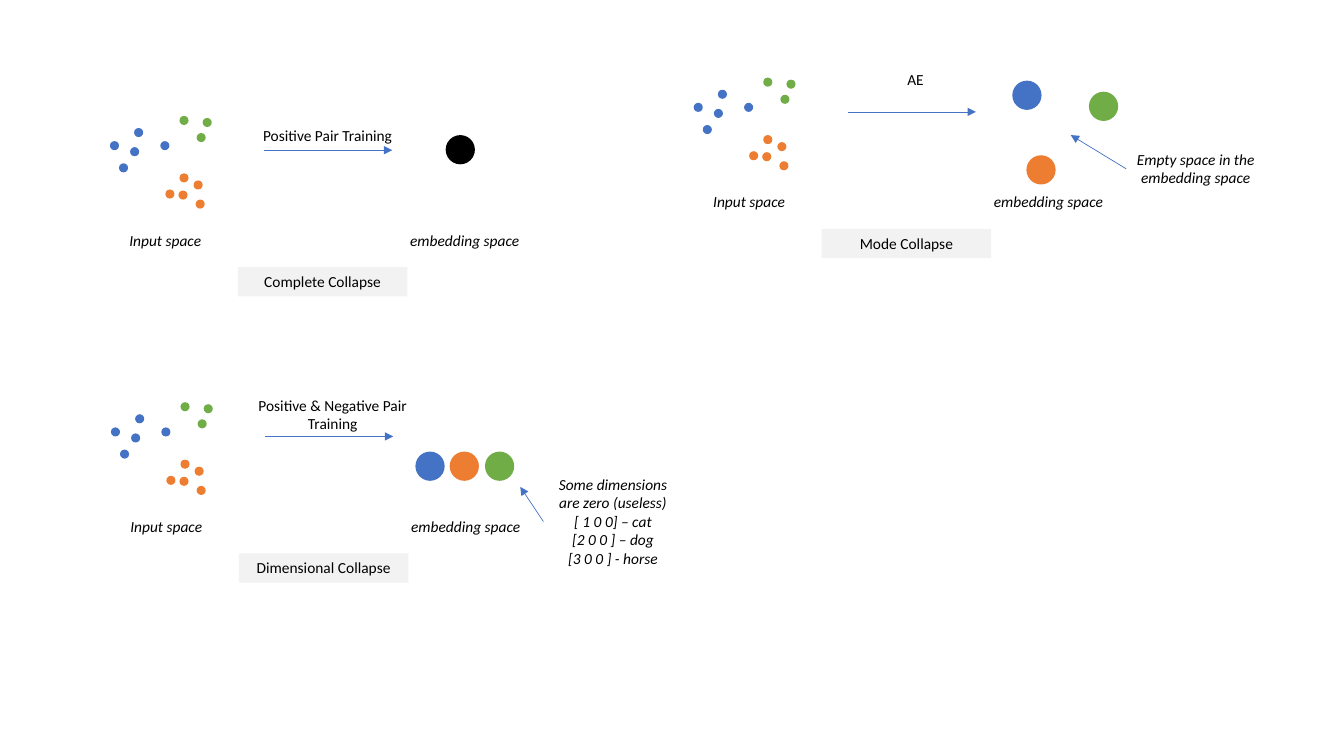
import pptx
import pptx.util
import pptx.dml.color
import pptx.enum.shapes
import pptx.enum.text
import pptx.oxml
import pptx.oxml.ns
from pptx.util import Inches

BLUE, ORANGE, GREEN, BLACK, GREY = "4472C4", "ED7D31", "70AD47", "000000", "F2F2F2"
DOT, CLUSTER = 0.09, 0.29
LABEL_WIDTH, NOTE_WIDTH, LINE_HEIGHT = 1.68, 1.38, 0.29

# Input points, measured from the corner of their panel
INPUT_POINTS = {
    BLUE: [(0, 0.25), (0.24, 0.12), (0.09, 0.47), (0.2, 0.31), (0.5, 0.25)],
    ORANGE: [(0.55, 0.73), (0.68, 0.74), (0.69, 0.57), (0.83, 0.64), (0.85, 0.83)],
    GREEN: [(0.69, 0), (0.86, 0.17), (0.92, 0.02)],
}

# Each panel: corner, title, training step, embedded clusters, optional note
PANELS = [
    dict(corner=(1.09, 1.15), title="Complete Collapse",
         step=("Positive Pair Training", 2.41, 1.2, LINE_HEIGHT),
         clusters=[(BLACK, 4.42, 1.34)], note=None),
    dict(corner=(1.1, 3.99), title="Dimensional Collapse",
         step=("Positive & Negative Pair Training", 2.46, 3.88, 0.47),
         clusters=[(BLUE, 4.12, 4.48), (ORANGE, 4.46, 4.48), (GREEN, 4.81, 4.48)],
         note=("Some dimensions are zero (useless)\n[ 1 0 0] – cat\n"
               "[2 0 0 ] – dog\n[3 0 0 ] - horse", 5.39, 4.66, 1.03, (5.16, 4.83))),
    dict(corner=(6.88, 0.77), title="Mode Collapse",
         step=("AE", 8.24, 0.65, LINE_HEIGHT),
         clusters=[(BLUE, 10.04, 0.8), (ORANGE, 10.18, 1.54), (GREEN, 10.8, 0.91)],
         note=("Empty space in the embedding space", 11.17, 1.44, 0.47, (10.62, 1.34))),
]

deck = pptx.Presentation()
deck.slide_width, deck.slide_height = Inches(13.33), Inches(7.5)
page = deck.slides.add_slide(deck.slide_layouts[6])


def color(hex_string):
    return pptx.dml.color.RGBColor.from_string(hex_string)


def add_label(text, left, top, width, height, italic=False):
    box = page.shapes.add_textbox(Inches(left), Inches(top), Inches(width), Inches(height))
    frame = box.text_frame
    frame.word_wrap = True
    frame.auto_size = pptx.enum.text.MSO_AUTO_SIZE.SHAPE_TO_FIT_TEXT
    frame.text = text
    for para in frame.paragraphs:
        para.alignment = pptx.enum.text.PP_ALIGN.CENTER
        para.font.name = "Calibri"
        para.font.size = pptx.util.Pt(11)
        para.font.italic = italic
        para.font.color.rgb = color(BLACK)
    return box


for panel in PANELS:
    x, y = panel["corner"]

    # Input points and embedded clusters
    circles = [(fill, x + dx, y + dy, DOT)
               for fill, points in INPUT_POINTS.items() for dx, dy in points]
    circles += [(*cluster, CLUSTER) for cluster in panel["clusters"]]
    for fill, left, top, size in circles:
        circle = page.shapes.add_shape(pptx.enum.shapes.MSO_SHAPE.OVAL, Inches(left),
                                       Inches(top), Inches(size), Inches(size))
        circle.shadow.inherit = False
        circle.fill.solid()
        circle.fill.fore_color.rgb = color(fill)
        circle.line.fill.background()

    # Captions and title
    text, left, top, height = panel["step"]
    add_label(text, left, top, LABEL_WIDTH, height)
    add_label("Input space", x - 0.29, y + 1.09, LABEL_WIDTH, LINE_HEIGHT, italic=True)
    add_label("embedding space", x + 2.68, y + 1.09, LABEL_WIDTH, LINE_HEIGHT, italic=True)
    title = add_label(panel["title"], x + 1.27, y + 1.5, LABEL_WIDTH, LINE_HEIGHT)
    title.fill.solid()
    title.fill.fore_color.rgb = color(GREY)

    # Training arrow, and the note with its pointer
    arrows = [((x + 1.53, y + 0.34), (x + 2.8, y + 0.34), None)]
    if panel["note"]:
        text, left, top, height, target = panel["note"]
        note = add_label(text, left, top, NOTE_WIDTH, height, italic=True)
        arrows.append(((left, top + height / 2), target, note))
    for start, end, source in arrows:
        arrow = page.shapes.add_connector(pptx.enum.shapes.MSO_CONNECTOR.STRAIGHT,
                                          *map(Inches, start + end))
        if source is not None:
            arrow.begin_connect(source, 1)
        arrow.line.color.rgb = color(BLUE)
        arrow.line.width = pptx.util.Pt(0.5)
        namespace = pptx.oxml.ns.nsdecls("a")
        arrow.line._get_or_add_ln().append(
            pptx.oxml.parse_xml(f'<a:tailEnd {namespace} type="triangle"/>'))
        arrow._element.spPr.append(pptx.oxml.parse_xml(f"<a:effectLst {namespace}/>"))

deck.save("out.pptx")
